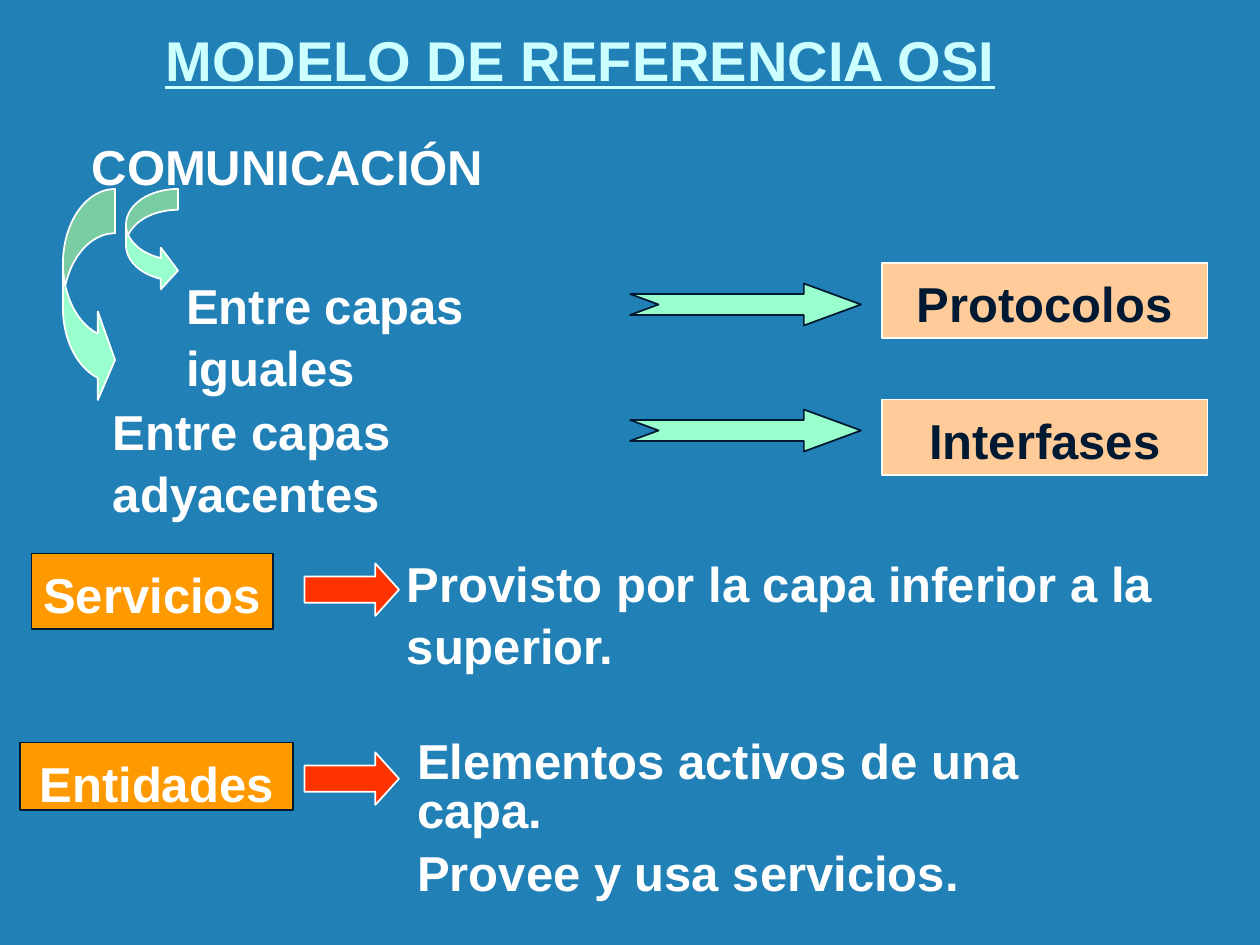
"""Build the slide on communication in the OSI reference model."""
from typing import NamedTuple, Optional

from pptx import Presentation
from pptx.dml.color import RGBColor
from pptx.enum.shapes import MSO_SHAPE as Preset
from pptx.enum.text import MSO_ANCHOR as Anchor, MSO_AUTO_SIZE as AutoSize, PP_ALIGN as Align
from pptx.shapes.autoshape import Shape
from pptx.slide import Slide
from pptx.text.text import TextFrame
from pptx.util import Pt

BLUE = RGBColor(0x21, 0x81, 0xB7)
PALE_CYAN = RGBColor(0xCC, 0xFF, 0xFF)
WHITE = RGBColor(0xFF, 0xFF, 0xFF)
NAVY = RGBColor(0x00, 0x19, 0x32)
PEACH = RGBColor(0xFF, 0xCC, 0x99)
ORANGE = RGBColor(0xFF, 0x99, 0x00)
MINT = RGBColor(0x99, 0xFF, 0xCC)
RED = RGBColor(0xFF, 0x33, 0x00)

FONT = "Arial"
INSET = 4.5
SPACE_BEFORE = 16


class Box(NamedTuple):
    left: float
    top: float
    width: float
    height: float


class Line(NamedTuple):
    text: str
    spacing: float = 1.05


class Label(NamedTuple):
    box: Box
    lines: tuple[Line, ...]
    fill: Optional[RGBColor] = None
    outline: Optional[RGBColor] = None
    color: RGBColor = WHITE


class Arrow(NamedTuple):
    preset: Preset
    box: Box
    adjustments: tuple[float, ...]
    fill: RGBColor
    outline: RGBColor


TITLE = Line("MODELO DE REFERENCIA OSI", 1.0)
TITLE_BOX = Box(90, 12, 564, 45.5)

LABELS = (
    Label(Box(504, 150.25, 186, 43), (Line("Protocolos"),), PEACH, WHITE, NAVY),
    Label(Box(504, 228.25, 186, 43), (Line("Interfases"),), PEACH, WHITE, NAVY),
    Label(Box(18, 316.25, 138, 43), (Line("Servicios"),), ORANGE, NAVY),
    Label(Box(11.5, 424.25, 156, 38.5), (Line("Entidades"),), ORANGE, NAVY),
    Label(Box(48, 72, 258, 42), (Line("COMUNICACIÓN"),)),
    Label(Box(102, 151.5, 258, 76), (Line("Entre capas iguales"),)),
    Label(Box(60, 223.5, 306, 76), (Line("Entre capas adyacentes"),)),
    Label(Box(228, 310.25, 480, 76), (Line("Provisto por la capa inferior a la superior."),)),
    Label(
        Box(234, 418.25, 396, 114),
        (Line("Elementos activos de una capa.", 0.84), Line("Provee y usa servicios.", 0.53)),
    ),
)

ARROWS = (
    Arrow(Preset.CURVED_RIGHT_ARROW, Box(72, 108, 29.75, 58.5), (0.4, 0.8, 0.33), MINT, WHITE),
    Arrow(Preset.CURVED_RIGHT_ARROW, Box(36, 108, 29.75, 123), (0.85, 1.7, 0.33), MINT, WHITE),
    *(Arrow(Preset.NOTCHED_RIGHT_ARROW, Box(360, top, 132, 24), (0.5, 1.36), MINT, NAVY)
      for top in (162, 234)),
    *(Arrow(Preset.RIGHT_ARROW, Box(174, top, 54, 30), (0.5, 0.45), RED, WHITE)
      for top in (322, 430)),
)


def write_lines(frame: TextFrame, lines: tuple[Line, ...], align: Align, size: float,
                color: RGBColor, underline: bool = False) -> None:
    """Write bold paragraphs into a text frame."""
    frame.word_wrap = True
    frame.auto_size = AutoSize.NONE
    frame.margin_left = frame.margin_right = Pt(INSET)
    frame.margin_top = frame.margin_bottom = Pt(INSET)
    for index, line in enumerate(lines):
        paragraph = frame.add_paragraph() if index else frame.paragraphs[0]
        paragraph.alignment = align
        paragraph.line_spacing = line.spacing
        paragraph.space_before = Pt(SPACE_BEFORE if index else 0)
        run = paragraph.add_run()
        run.text = line.text
        font = run.font
        font.name, font.size, font.bold = FONT, Pt(size), True
        font.underline = underline
        font.color.rgb = color


def paint(shape: Shape, fill: RGBColor, outline: RGBColor) -> None:
    """Give a shape a plain fill and a thin outline."""
    shape.shadow.inherit = False
    shape.fill.solid()
    shape.fill.fore_color.rgb = fill
    shape.line.color.rgb = outline
    shape.line.width = Pt(1)


def add_title(slide: Slide) -> None:
    """Place and fill the title placeholder."""
    title = slide.shapes.title
    title.left, title.top, title.width, title.height = map(Pt, TITLE_BOX)
    title.text_frame.vertical_anchor = Anchor.BOTTOM
    write_lines(title.text_frame, (TITLE,), Align.LEFT, 32, PALE_CYAN, underline=True)


def add_label(slide: Slide, label: Label) -> None:
    """Add a filled box or a plain text box."""
    bounds = map(Pt, label.box)
    if label.fill is None:
        shape = slide.shapes.add_textbox(*bounds)
        align = Align.LEFT
    else:
        shape = slide.shapes.add_shape(Preset.RECTANGLE, *bounds)
        paint(shape, label.fill, label.outline)
        align = Align.CENTER
    shape.text_frame.vertical_anchor = Anchor.TOP
    write_lines(shape.text_frame, label.lines, align, 28, label.color)


def add_arrow(slide: Slide, arrow: Arrow) -> None:
    """Add a block arrow."""
    shape = slide.shapes.add_shape(arrow.preset, *map(Pt, arrow.box))
    for index, value in enumerate(arrow.adjustments):
        shape.adjustments[index] = value
    paint(shape, arrow.fill, arrow.outline)


def main() -> None:
    """Build and save the presentation."""
    presentation = Presentation()
    presentation.slide_width, presentation.slide_height = Pt(720), Pt(540)
    slide = presentation.slides.add_slide(presentation.slide_layouts.get_by_name("Title Only"))
    slide.background.fill.solid()
    slide.background.fill.fore_color.rgb = BLUE
    add_title(slide)
    for label in LABELS:
        add_label(slide, label)
    for arrow in ARROWS:
        add_arrow(slide, arrow)
    presentation.save("out.pptx")


if __name__ == "__main__":
    main()
